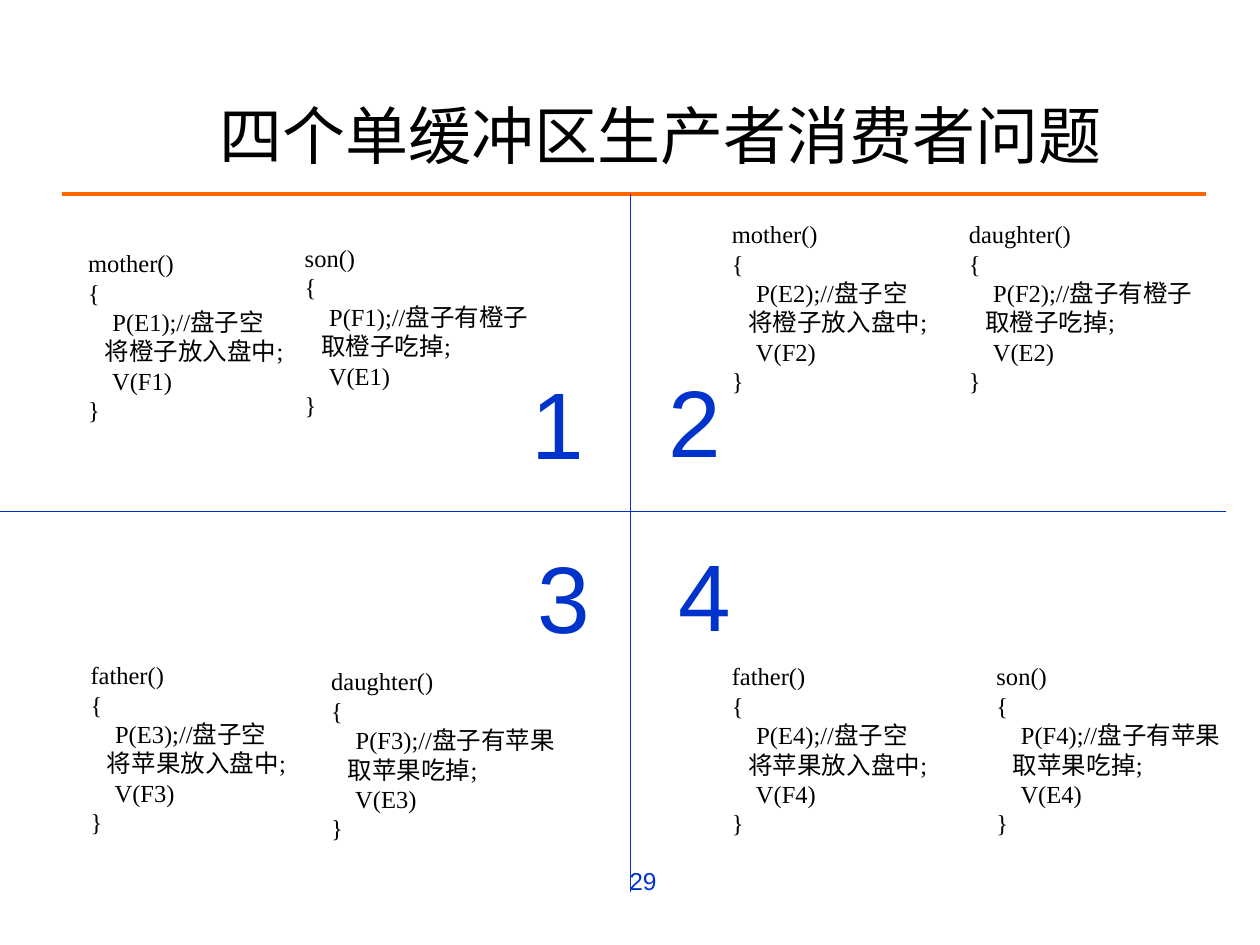
from dataclasses import dataclass

from pptx import Presentation
from pptx.dml.color import RGBColor
from pptx.enum.shapes import MSO_CONNECTOR
from pptx.enum.text import MSO_ANCHOR, MSO_AUTO_SIZE, PP_ALIGN
from pptx.oxml.ns import qn
from pptx.util import Inches, Pt
from lxml import etree

STRAIGHT = MSO_CONNECTOR.STRAIGHT
LEFT, CENTER, RIGHT = PP_ALIGN.LEFT, PP_ALIGN.CENTER, PP_ALIGN.RIGHT
TOP, MIDDLE = MSO_ANCHOR.TOP, MSO_ANCHOR.MIDDLE
FIT_SHAPE = MSO_AUTO_SIZE.SHAPE_TO_FIT_TEXT


@dataclass(frozen=True)
class Theme:
    black: str = "000000"
    blue: str = "0033CC"
    divider: str = "002FCC"
    orange: str = "FF6600"
    sans: str = "Arial"
    serif: str = "Times New Roman"
    title_size: int = 36
    number_size: int = 54
    body_size: int = 14


THEME = Theme()
WIDTH, HEIGHT = 10, 7.5
MIDDLE_X, MIDDLE_Y = WIDTH / 2, 4.06
RULE_Y, BOTTOM_Y = 1.54, 7.08
CODE_SIZE = (2.41, 1.5)
NUMBER_SIZE = (0.61, 1)


def add_text(slide, box, lines, font, size, color,
             align=LEFT, anchor=TOP, wrap=True, fit=False):
    shape = slide.shapes.add_textbox(*(Inches(length) for length in box))
    frame = shape.text_frame
    frame.word_wrap = wrap
    frame.vertical_anchor = anchor
    if fit:
        frame.auto_size = FIT_SHAPE
    frame.text = "\n".join(lines)
    for paragraph in frame.paragraphs:
        paragraph.alignment = align
        paragraph.font.name = font
        paragraph.font.size = Pt(size)
        paragraph.font.color.rgb = RGBColor.from_string(color)


def add_line(slide, start, end, color, width):
    ends = (Inches(length) for length in (*start, *end))
    connector = slide.shapes.add_connector(STRAIGHT, *ends)
    connector.line.color.rgb = RGBColor.from_string(color)
    connector.line.width = Pt(width)
    properties = connector._element.find(qn("p:spPr"))
    etree.SubElement(properties, qn("a:effectLst"))


def add_header(slide, box):
    left, top, width, height = box
    add_line(slide, (left, top + height), (left + width, top + height),
             THEME.orange, 2.25)
    add_text(slide, (left + 1.15, top, 7.26, 0.64), ["四个单缓冲区生产者消费者问题"],
             THEME.sans, THEME.title_size, THEME.black, anchor=MIDDLE)


def add_dividers(slide):
    add_line(slide, (0, MIDDLE_Y), (9.73, MIDDLE_Y), THEME.divider, 0.75)
    add_line(slide, (MIDDLE_X, RULE_Y), (MIDDLE_X, BOTTOM_Y), THEME.blue, 0.5)


def code_lines(name, wait, comment, action, signal):
    return [f"{name}()", "{", f"    P({wait});//{comment}",
            f"   {action};", f"    V({signal})", "}"]


def add_quadrant(slide, origin, number, people, fruit, offsets):
    """Place a producer, a consumer and the buffer number in one quadrant."""
    empty, full = f"E{number}", f"F{number}"
    producer, consumer = people
    programs = (
        code_lines(producer, empty, "盘子空", f"将{fruit}放入盘中", full),
        code_lines(consumer, full, f"盘子有{fruit}", f"取{fruit}吃掉", empty),
    )
    producer_at, consumer_at, number_at = (
        (origin[0] + x, origin[1] + y) for x, y in offsets)
    for position, lines in zip((producer_at, consumer_at), programs):
        add_text(slide, (*position, *CODE_SIZE), lines,
                 THEME.serif, THEME.body_size, THEME.black, fit=True)
    add_text(slide, (*number_at, *NUMBER_SIZE), [str(number)],
             THEME.sans, THEME.number_size, THEME.blue,
             align=CENTER, wrap=False, fit=True)


def add_page_number(slide, box):
    add_text(slide, box, ["29"], THEME.sans, THEME.body_size, THEME.blue,
             align=RIGHT)


# Quadrant origin, people, fruit, offsets of producer, consumer and number
QUADRANTS = [
    ((0, RULE_Y), ("mother", "son"), "橙子",
     ((0.6, 0.38), (2.32, 0.34), (4.12, 1.31))),
    ((MIDDLE_X, RULE_Y), ("mother", "daughter"), "橙子",
     ((0.71, 0.15), (2.59, 0.15), (0.21, 1.29))),
    ((0, MIDDLE_Y), ("father", "daughter"), "苹果",
     ((0.62, 1.13), (2.53, 1.18), (4.17, 0.17))),
    ((MIDDLE_X, MIDDLE_Y), ("father", "son"), "苹果",
     ((0.71, 1.14), (2.81, 1.14), (0.29, 0.15))),
]


def main():
    presentation = Presentation()
    presentation.slide_width = Inches(WIDTH)
    presentation.slide_height = Inches(HEIGHT)
    slide = presentation.slides.add_slide(presentation.slide_layouts[6])

    add_header(slide, (0.49, 0.75, 9.08, RULE_Y - 0.75))
    add_dividers(slide)
    for number, (origin, people, fruit, offsets) in enumerate(QUADRANTS, 1):
        add_quadrant(slide, origin, number, people, fruit, offsets)
    add_page_number(slide, (2.8, 6.82, 2.51, 0.52))

    presentation.save("out.pptx")


if __name__ == "__main__":
    main()
